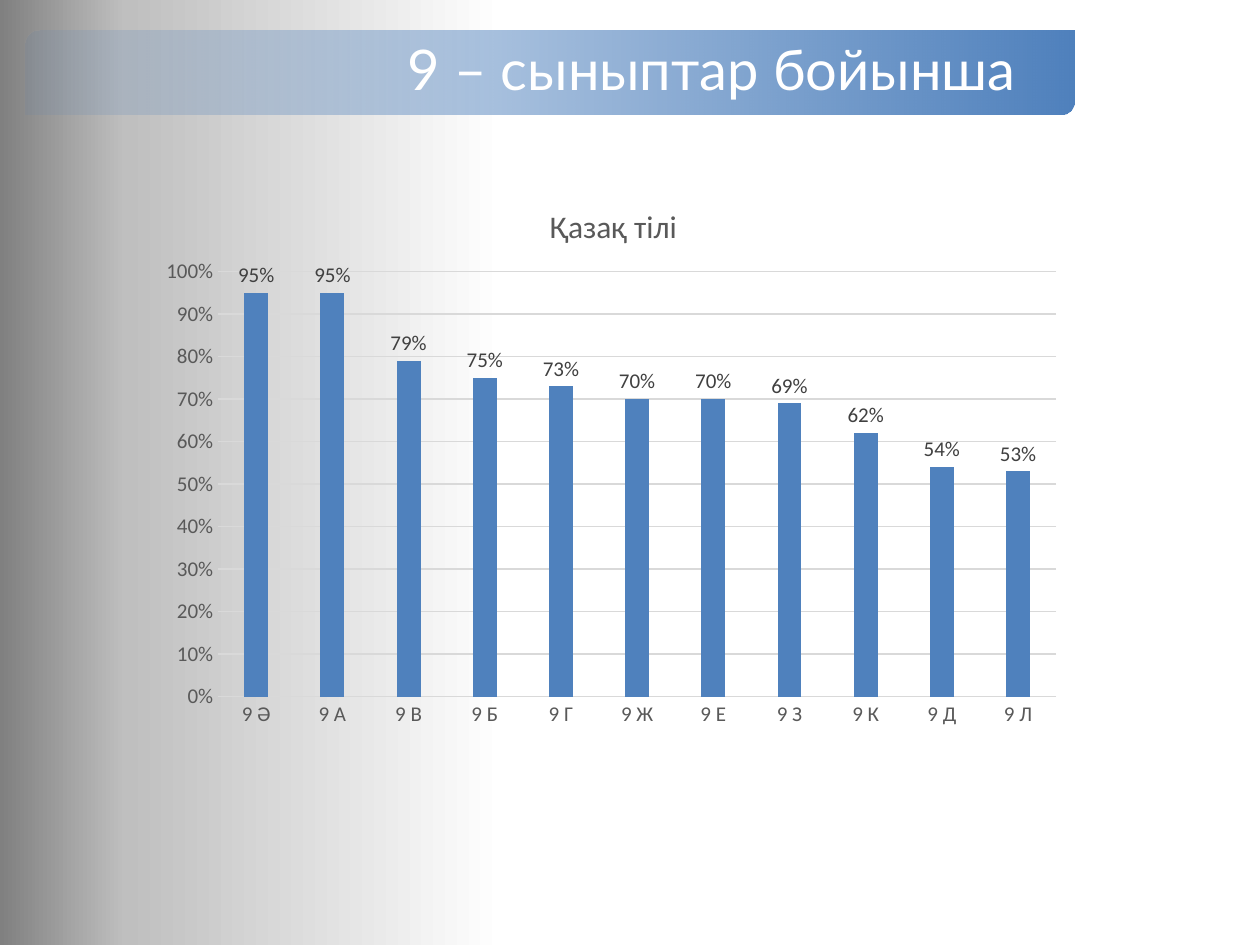
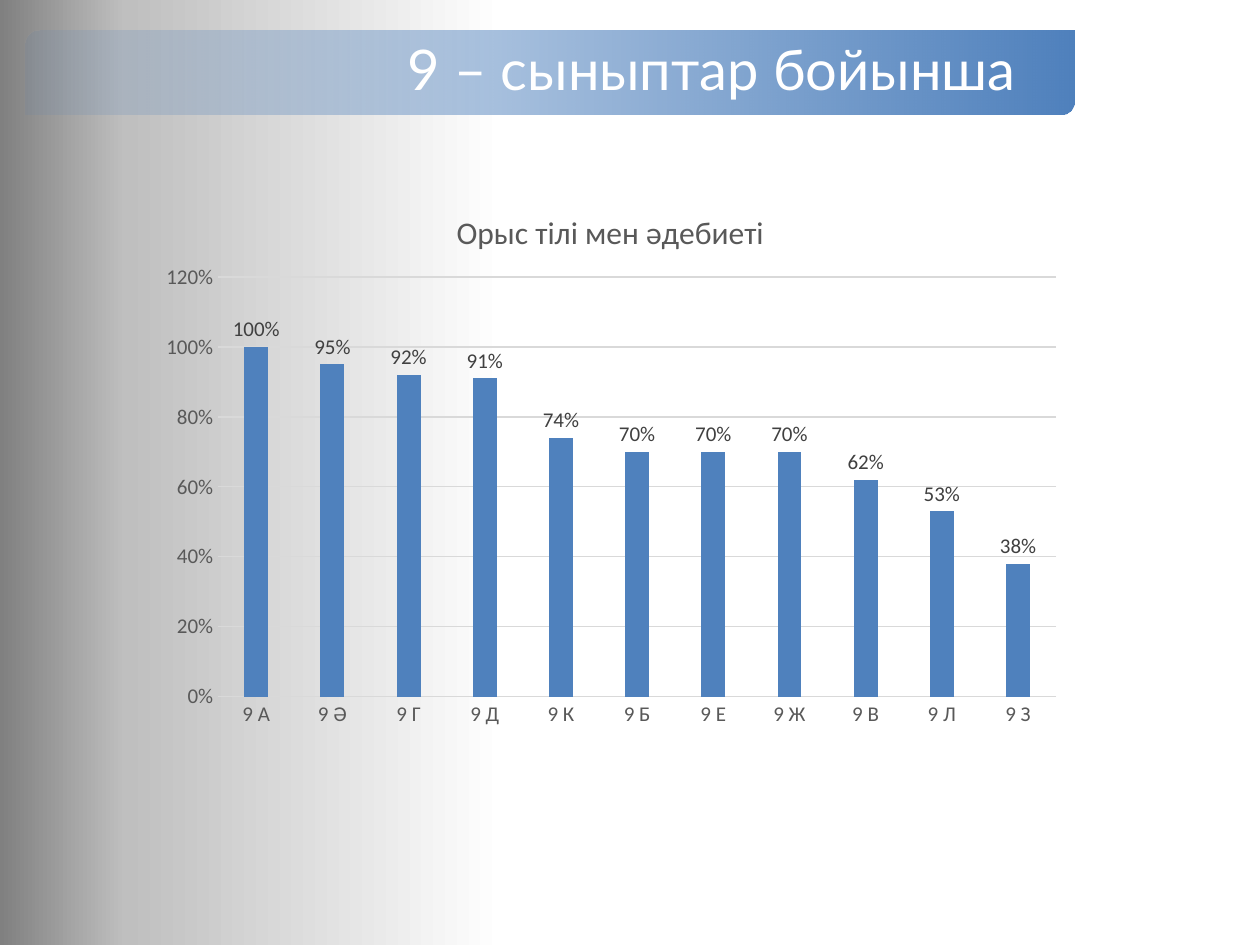
"""Build two slides charting class results by subject."""
import lxml.etree
import pptx
import pptx.chart.data
import pptx.dml.color
import pptx.enum.chart
import pptx.enum.shapes
import pptx.enum.text
import pptx.oxml.ns
import pptx.util

Inches = pptx.util.Inches
Pt = pptx.util.Pt
qn = pptx.oxml.ns.qn

COLORS = {
    "accent": "4F81BD",
    "white": "FFFFFF",
    "silver": "BFBFBF",
    "gray": "808080",
    "grid": "D9D9D9",
    "axis_text": "595959",
    "label_text": "404040",
}
BACKDROP_STOPS = [(60, "white", 100), (90, "silver", 100), (100, "gray", 100)]
BAND_STOPS = [(0, "accent", 10), (100, "accent", 100)]
HEADING = "9 – сыныптар бойынша"
PERCENT = "0%"
PLOT_BOTTOM = 0.93

SUBJECTS = [
    {
        "subject": "Қазақ тілі",
        "results": {
            "9 Ә": 0.95, "9 А": 0.95, "9 В": 0.79, "9 Б": 0.75,
            "9 Г": 0.73, "9 Ж": 0.7, "9 Е": 0.7, "9 З": 0.69,
            "9 К": 0.62, "9 Д": 0.54, "9 Л": 0.53,
        },
        "scale": (1, 0.1),
        "subject_at": (0.43, 0.04),
        "plot_top": 0.17,
    },
    {
        "subject": "Орыс тілі мен әдебиеті",
        "results": {
            "9 А": 1, "9 Ә": 0.95, "9 Г": 0.92, "9 Д": 0.91,
            "9 К": 0.74, "9 Б": 0.7, "9 Е": 0.7, "9 Ж": 0.7,
            "9 В": 0.62, "9 Л": 0.53, "9 З": 0.38,
        },
        "scale": (1.2, 0.2),
        "subject_at": (0.33, 0.05),
        "plot_top": 0.18,
    },
]


def rgb(color):
    """Return the named colour."""
    return pptx.dml.color.RGBColor.from_string(COLORS[color])


def format_font(font, size, color, name="Calibri"):
    """Set size, colour and face of a font."""
    font.size = Pt(size)
    font.name = name
    font.bold = False
    font.color.rgb = rgb(color)


def write_text(frame, text, *, size, color, name="Calibri", spacing=None):
    """Write one formatted paragraph into a text frame."""
    frame.text = text
    paragraph = frame.paragraphs[0]
    if spacing:
        paragraph.line_spacing = spacing
    format_font(paragraph.runs[0].font, size, color, name)


def fill_gradient(fill, owner, stops, angle):
    """Give a fill linear stops of position, colour and opacity in percent."""
    fill.gradient()
    fill.gradient_angle = angle
    stop_list = next(owner.iter(qn("a:gsLst")))
    for old_stop in list(stop_list):
        stop_list.remove(old_stop)
    for position, color, opacity in stops:
        stop = lxml.etree.SubElement(stop_list, qn("a:gs"), pos=str(position * 1000))
        tone = lxml.etree.SubElement(stop, qn("a:srgbClr"), val=COLORS[color])
        if opacity < 100:
            lxml.etree.SubElement(tone, qn("a:alpha"), val=str(opacity * 1000))


def place(part, **fractions):
    """Place a chart part by fractions of the chart's size."""
    layout = part.find(qn("c:layout"))
    if layout is None:
        layout = part.makeelement(qn("c:layout"))
        part.insert(0, layout)
    manual = lxml.etree.SubElement(layout, qn("c:manualLayout"))
    if "w" in fractions:
        lxml.etree.SubElement(manual, qn("c:layoutTarget"), val="inner")
    for mode in ("xMode", "yMode"):
        lxml.etree.SubElement(manual, qn(f"c:{mode}"), val="edge")
    for key, fraction in fractions.items():
        lxml.etree.SubElement(manual, qn(f"c:{key}"), val=f"{fraction:.2f}")


def add_heading_band(slide, heading):
    """Add the gradient band that carries the heading."""
    band = slide.shapes.add_shape(
        pptx.enum.shapes.MSO_SHAPE.ROUND_2_DIAG_RECTANGLE,
        Inches(0.2), Inches(0.24), Inches(8.33), Inches(0.67),
    )
    band.shadow.inherit = False
    band.line.fill.background()
    fill_gradient(band.fill, band._element.spPr, BAND_STOPS, 0)
    frame = band.text_frame
    frame.word_wrap = True
    frame.vertical_anchor = pptx.enum.text.MSO_ANCHOR.MIDDLE
    frame.margin_left = Inches(3)
    frame.margin_top = frame.margin_right = frame.margin_bottom = Inches(0.14)
    write_text(frame, heading, size=32, color="white", name="Lato", spacing=0.9)
    frame.paragraphs[0].alignment = pptx.enum.text.PP_ALIGN.LEFT


def style_axis(axis):
    """Give an axis its text and remove its ticks."""
    axis.major_tick_mark = pptx.enum.chart.XL_TICK_MARK.NONE
    axis.minor_tick_mark = pptx.enum.chart.XL_TICK_MARK.NONE
    format_font(axis.tick_labels.font, 12, "axis_text")


def style_rule(line):
    """Draw a line as a thin gray rule."""
    line.color.rgb = rgb("grid")
    line.width = Pt(0.75)


def style_axes(chart, scale):
    """Style the class axis and the percentage axis."""
    classes, percentages = chart.category_axis, chart.value_axis
    for axis in (classes, percentages):
        style_axis(axis)
    style_rule(classes.format.line)
    classes.has_major_gridlines = False
    percentages.format.line.fill.background()
    percentages.has_major_gridlines = True
    style_rule(percentages.major_gridlines.format.line)
    percentages.minimum_scale = 0
    percentages.maximum_scale, percentages.major_unit = scale
    percentages.tick_labels.number_format = PERCENT
    percentages.tick_labels.number_format_is_linked = False


def style_columns(plot):
    """Style the columns and their value labels."""
    plot.gap_width = 219
    plot.overlap = -27
    plot.vary_by_categories = False
    columns = plot.series[0]
    columns.format.fill.solid()
    columns.format.fill.fore_color.rgb = rgb("accent")
    labels = columns.data_labels
    labels.show_value = True
    labels.number_format = PERCENT
    labels.number_format_is_linked = False
    labels.position = pptx.enum.chart.XL_LABEL_POSITION.OUTSIDE_END
    format_font(labels.font, 12, "label_text")


def add_results_chart(slide, subject, results, scale, subject_at, plot_top):
    """Add the column chart of one subject's results."""
    data = pptx.chart.data.CategoryChartData(number_format=PERCENT)
    data.categories = list(results)
    data.add_series("Series 1", list(results.values()))
    chart = slide.shapes.add_chart(
        pptx.enum.chart.XL_CHART_TYPE.COLUMN_CLUSTERED,
        Inches(1.14), Inches(1.4), Inches(7.39), Inches(4.44), data,
    ).chart
    chart.has_legend = False
    chart.font.name = "Calibri"
    chart.font.size = Pt(10)
    write_text(chart.chart_title.text_frame, subject, size=18, color="axis_text")
    chart.chart_title.include_in_layout = False
    style_axes(chart, scale)
    style_columns(chart.plots[0])
    left, top = subject_at
    place(chart.chart_title._element, x=left, y=top)
    plot_area = next(chart._chartSpace.iter(qn("c:plotArea")))
    place(plot_area, x=0.08, y=plot_top, w=0.9, h=PLOT_BOTTOM - plot_top)


def main():
    """Build and save the deck."""
    deck = pptx.Presentation()
    deck.slide_width, deck.slide_height = Inches(10), Inches(7.5)
    for subject in SUBJECTS:
        slide = deck.slides.add_slide(deck.slide_layouts[6])
        fill_gradient(slide.background.fill, slide._element, BACKDROP_STOPS, 180)
        add_heading_band(slide, HEADING)
        add_results_chart(slide, **subject)
    deck.save("out.pptx")


if __name__ == "__main__":
    main()
